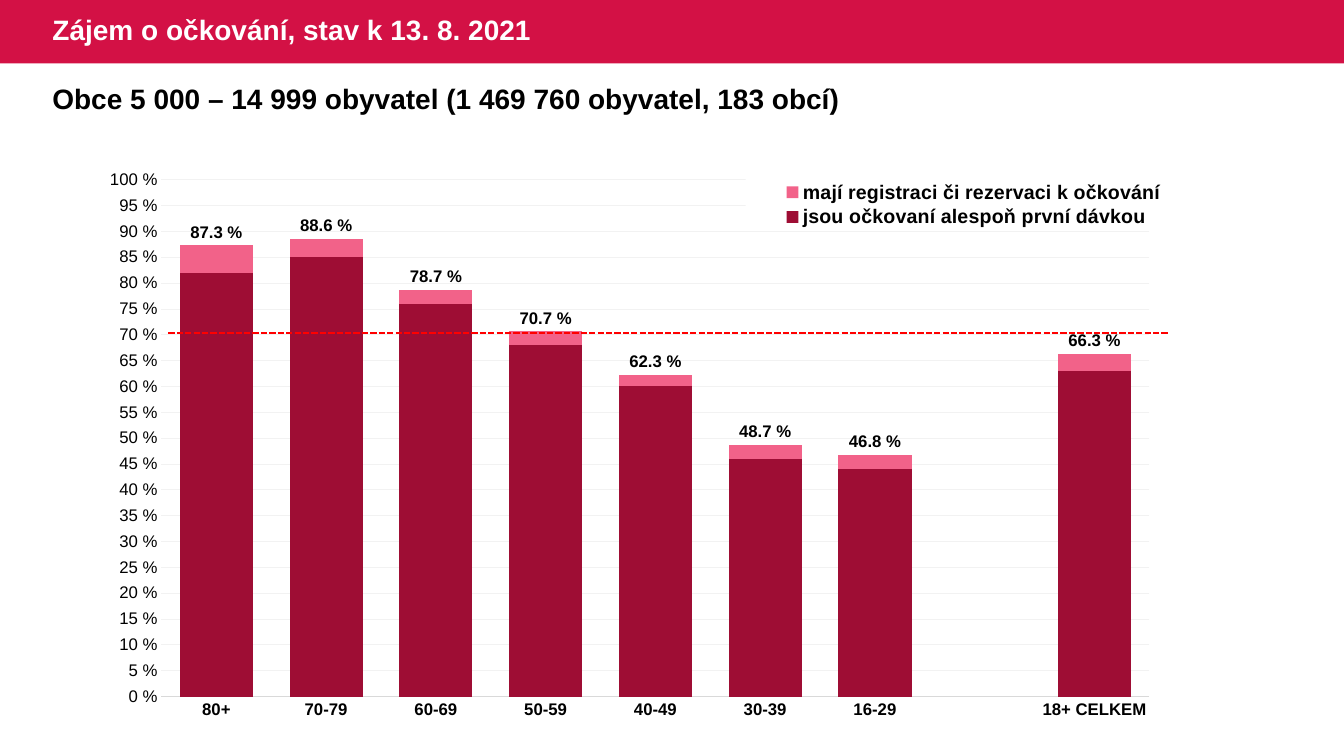
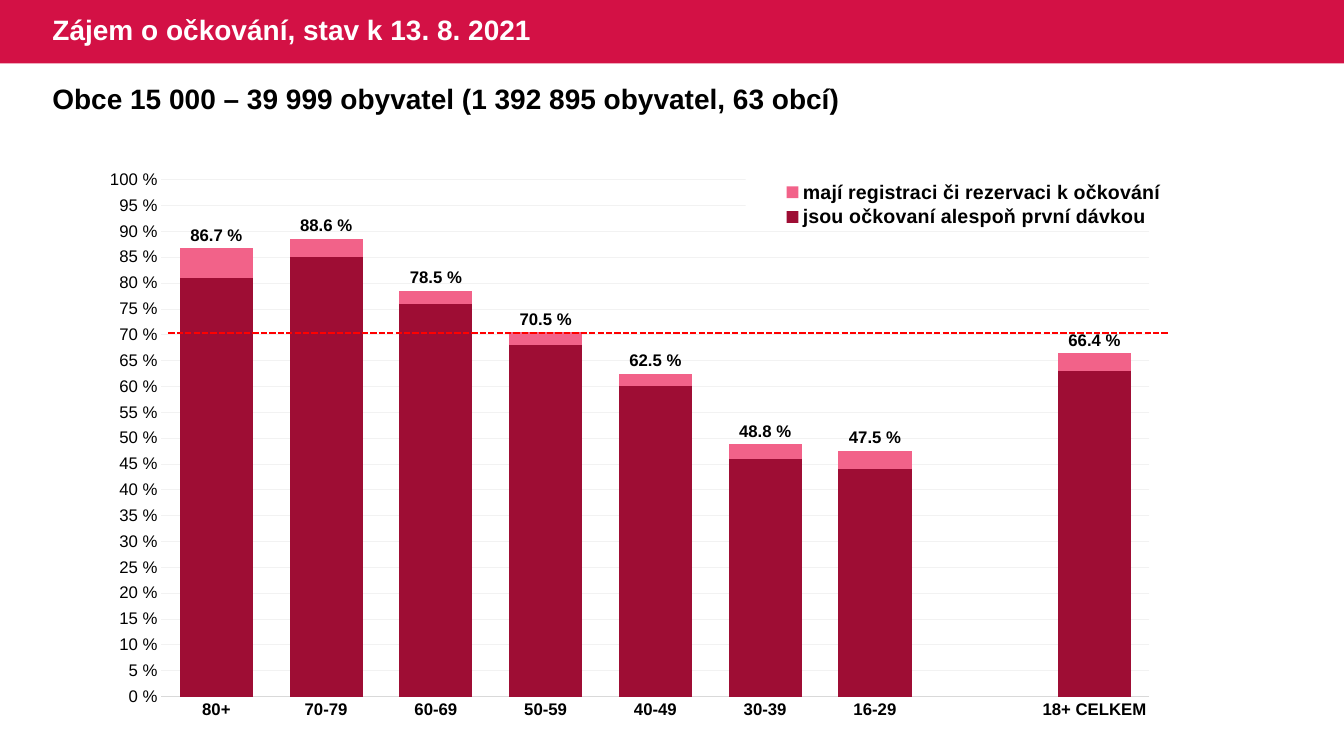
from lxml.etree import SubElement
from pptx import Presentation
from pptx.chart.data import CategoryChartData
from pptx.dml.color import RGBColor
from pptx.enum.chart import XL_CHART_TYPE as ChartType, XL_LABEL_POSITION as LabelPosition
from pptx.enum.chart import XL_LEGEND_POSITION as LegendPosition, XL_TICK_MARK as TickMark
from pptx.enum.dml import MSO_LINE_DASH_STYLE as Dash
from pptx.enum.shapes import MSO_CONNECTOR as Connector, MSO_SHAPE as Shape
from pptx.enum.text import MSO_ANCHOR as Anchor, MSO_AUTO_SIZE as AutoSize, PP_ALIGN as Align
from pptx.oxml import parse_xml
from pptx.oxml.ns import nsdecls, qn
from pptx.util import Inches, Pt

COLORS = {
    "band": "D31145", "white": "FFFFFF", "black": "000000",
    "registered": "F26289", "vaccinated": "9E0D34",
    "axis": "D9D9D9", "grid": "F2F2F2", "target": "FF0000",
}
TITLE = "Zájem o očkování, stav k 13. 8. 2021"
AGE_GROUPS = ["80+", "70-79", "60-69", "50-59", "40-49", "30-39", "16-29", "", "18+ CELKEM"]
SERIES = [("mají registraci či rezervaci k očkování", "registered"),
          ("jsou očkovaní alespoň první dávkou", "vaccinated")]
PAGES = [
    ("Obce 5 000 – 14 999 obyvatel (1 469 760 obyvatel, 183 obcí)",
     [[87.3, 88.6, 78.7, 70.7, 62.3, 48.7, 46.8, None, 66.3],
      [82, 85, 76, 68, 60, 46, 44, None, 63]]),
    ("Obce 15 000 – 39 999 obyvatel (1 392 895 obyvatel, 63 obcí)",
     [[86.7, 88.6, 78.5, 70.5, 62.5, 48.8, 47.5, None, 66.4],
      [81, 85, 76, 68, 60, 46, 44, None, 63]]),
]


def set_font(font, size, color="black", bold=True):
    values = {"name": "Arial", "size": Pt(size), "bold": bold}
    for name, value in values.items():
        setattr(font, name, value)
    font.color.rgb = RGBColor.from_string(COLORS[color])


def chart_layout(x, y, w, h, inner=False):
    target = '<c:layoutTarget val="inner"/>' if inner else ""
    sizes = "".join(f'<c:{key} val="{value}"/>'
                    for key, value in zip("xywh", (x, y, w, h)))
    return parse_xml(
        f'<c:layout {nsdecls("c")}><c:manualLayout>{target}<c:xMode val="edge"/>'
        f'<c:yMode val="edge"/>{sizes}</c:manualLayout></c:layout>')


deck = Presentation()
deck.slide_width, deck.slide_height = Inches(13.33), Inches(7.5)
layout = deck.slide_layouts[5]

# Shared title position
title_format = {"left": Inches(0.42), "top": 0, "width": Inches(5.9), "height": Inches(0.63)}
for name, value in title_format.items():
    setattr(layout.placeholders[0], name, value)

for number, (heading, rates) in enumerate(PAGES):
    page = deck.slides.add_slide(layout)

    # Band, moved once to the layout behind every page
    if number == 0:
        band = page.shapes.add_shape(Shape.RECTANGLE, 0, 0, deck.slide_width, Inches(0.63))
        band.shadow.inherit = False
        band.fill.solid()
        band.fill.fore_color.rgb = RGBColor.from_string(COLORS["band"])
        band.line.fill.background()
        layout.shapes.element.insert(2, band.element)

    # Title and heading
    title = page.shapes.title
    box = page.shapes.add_textbox(Inches(0.42), Inches(0.76), Inches(12.39), Inches(0.44))
    for shape, text, color, anchor in ((title, TITLE, "white", Anchor.MIDDLE),
                                       (box, heading, "black", Anchor.TOP)):
        frame = shape.text_frame
        frame.text = text
        frame.word_wrap = True
        frame.auto_size = AutoSize.NONE
        frame.vertical_anchor = anchor
        para = frame.paragraphs[0]
        para.alignment = Align.LEFT
        set_font(para.runs[0].font, 20, color)
    title.text_frame.paragraphs[0].line_spacing = 0.9

    # Chart with overlapping columns
    data = CategoryChartData()
    data.categories = AGE_GROUPS
    for (name, color), values in zip(SERIES, rates):
        data.add_series(name, values)
    chart = page.shapes.add_chart(ChartType.COLUMN_CLUSTERED, Inches(1.09), Inches(1.6),
                                  Inches(11.05), Inches(5.73), data).chart
    set_font(chart.font, 10, bold=False)
    chart.has_title = False
    plot = chart.plots[0]
    for name, value in {"gap_width": 50, "overlap": 100, "vary_by_categories": False}.items():
        setattr(plot, name, value)
    for series, (name, color) in zip(plot.series, SERIES):
        series.format.fill.solid()
        series.format.fill.fore_color.rgb = RGBColor.from_string(COLORS[color])

    # Total above each column
    labels = plot.series[0].data_labels
    label_format = {"show_value": True, "number_format": '0.0" %"',
                    "number_format_is_linked": False, "position": LabelPosition.OUTSIDE_END}
    for name, value in label_format.items():
        setattr(labels, name, value)
    set_font(labels.font, 12)

    # Axes
    ages, percent = chart.category_axis, chart.value_axis
    for axis in (ages, percent):
        axis.major_tick_mark = axis.minor_tick_mark = TickMark.NONE
        set_font(axis.tick_labels.font, 12, bold=axis is ages)
    percent.minimum_scale, percent.maximum_scale, percent.major_unit = 0, 100, 5
    percent.tick_labels.number_format = '0" %"'
    percent.tick_labels.number_format_is_linked = False
    percent.format.line.fill.background()
    for line, color, width in ((ages.format.line, "axis", 0.75),
                               (percent.major_gridlines.format.line, "grid", 0.5)):
        line.color.rgb = RGBColor.from_string(COLORS[color])
        line.width = Pt(width)

    # Legend on white, above the plot area
    chart.has_legend = True
    chart.legend.position = LegendPosition.TOP
    chart.legend.include_in_layout = False
    set_font(chart.legend.font, 14)
    legend = chart.element.find(".//" + qn("c:legend"))
    plot_area = chart.element.find(".//" + qn("c:plotArea"))
    for parent in (legend, plot_area):
        for old in parent.findall(qn("c:layout")):
            parent.remove(old)
    plot_area.insert(0, chart_layout(0.045, 0.032, 0.888, 0.895, inner=True))
    legend.find(qn("c:legendPos")).addnext(chart_layout(0.57, 0.03, 0.41, 0.09))
    legend.find(qn("c:overlay")).addnext(parse_xml(
        f'<c:spPr {nsdecls("c", "a")}><a:solidFill><a:srgbClr val="{COLORS["white"]}"/>'
        '</a:solidFill></c:spPr>'))

    # Dashed 70 % line
    target = page.shapes.add_connector(Connector.STRAIGHT, Inches(1.67), Inches(3.3),
                                       Inches(11.59), Inches(3.3))
    target.line.color.rgb = RGBColor.from_string(COLORS["target"])
    target.line.width = Pt(1.5)
    target.line.dash_style = Dash.SQUARE_DOT
    SubElement(target.element.spPr, qn("a:effectLst"))

deck.save("out.pptx")
